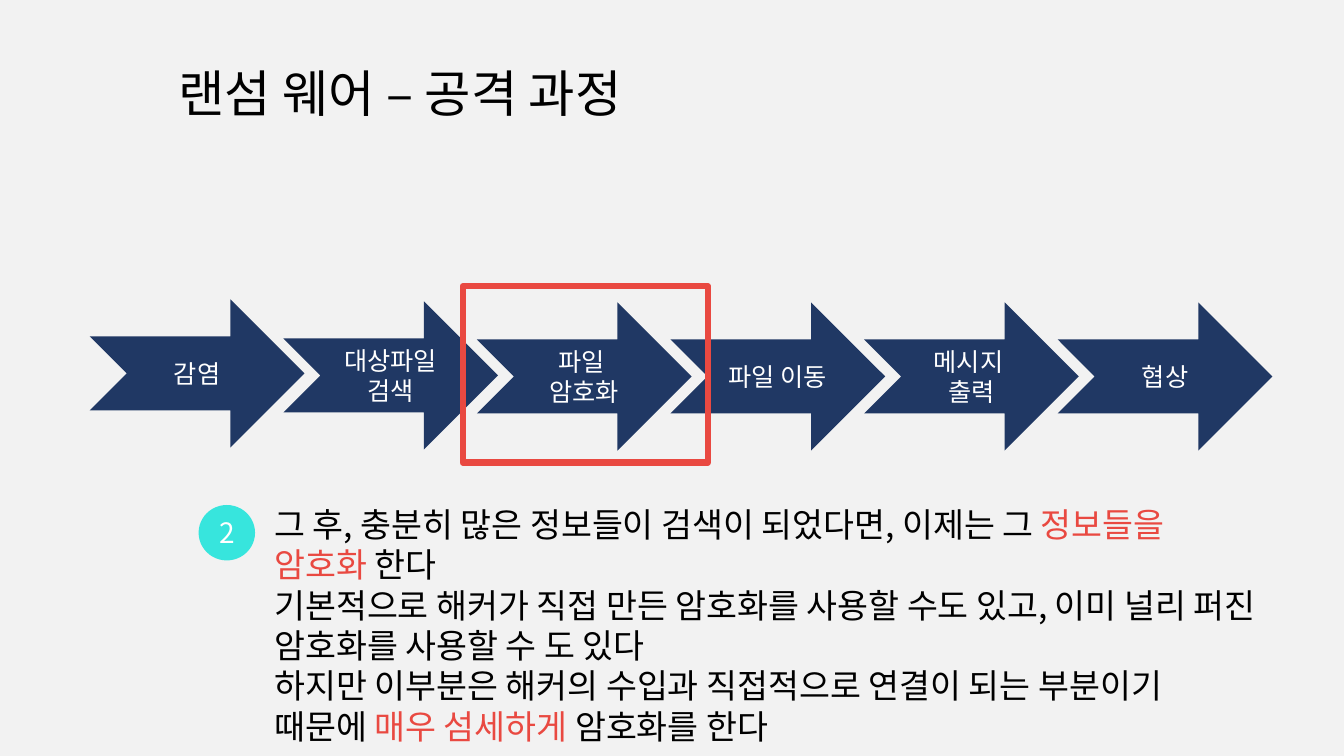
from lxml.etree import SubElement
from pptx import Presentation
from pptx.dml.color import RGBColor
from pptx.enum.shapes import MSO_SHAPE
from pptx.enum.text import MSO_ANCHOR, MSO_AUTO_SIZE, PP_ALIGN
from pptx.oxml.ns import qn
from pptx.util import Pt

PX = 9144
FONT = "Noto Sans CJK KR"
BLACK, WHITE, RED = "000000", "FFFFFF", "E94941"
NAVY, TURQUOISE, PALE = "203864", "37E5DD", "F2F2F2"

STAGES = ["감염", "대상파일 검색", "파일 \n암호화", "파일 이동", "메시지 \n출력", "협상"]
EXPLANATION = [
    [("그 후, 충분히 많은 정보들이 검색이 되었다면, 이제는 그 ", BLACK),
     ("정보들을 암호화", RED), (" 한다", BLACK)],
    [("기본적으로 해커가 직접 만든 암호화를 사용할 수도 있고, 이미 널리 퍼진 암호화를 사용할 수 도 있다", BLACK)],
    [("하지만 이부분은 해커의 수입과 직접적으로 연결이 되는 부분이기 때문에 ", BLACK),
     ("매우 섬세하게 ", RED), ("암호화를 한다", BLACK)],
]


def emu(*lengths):
    return [length * PX for length in lengths]


def colour(hex_code):
    return RGBColor.from_string(hex_code)


def style_run(run, size, hex_code):
    run.font.size = Pt(size)
    run.font.name = FONT
    run.font.color.rgb = colour(hex_code)
    SubElement(run.font._element, qn("a:ea"), typeface=FONT)


def place(placeholder, box):
    placeholder.left, placeholder.top, placeholder.width, placeholder.height = emu(*box)


def add_filled(slide, preset, box, fill, label, size):
    filled = slide.shapes.add_shape(preset, *emu(*box))
    filled.shadow.inherit = False
    filled.fill.solid()
    filled.fill.fore_color.rgb = colour(fill)
    filled.line.fill.background()
    frame = filled.text_frame
    frame.word_wrap = True
    frame.vertical_anchor = MSO_ANCHOR.MIDDLE
    frame.text = label
    for paragraph in frame.paragraphs:
        paragraph.alignment = PP_ALIGN.CENTER
        for run in paragraph.runs:
            style_run(run, size, WHITE)


def add_heading(slide, box):
    heading = slide.shapes.title
    place(heading, box)
    frame = heading.text_frame
    frame.text = "랜섬 웨어 – 공격 과정"
    frame.vertical_anchor = MSO_ANCHOR.MIDDLE
    frame.auto_size = MSO_AUTO_SIZE.NONE
    paragraph = frame.paragraphs[0]
    paragraph.alignment = PP_ALIGN.LEFT
    paragraph.line_spacing = 0.9
    style_run(paragraph.runs[0], 36, BLACK)


def add_attack_chain(slide, box):
    left, top, width, height = box
    arrow_width = 213
    step = (width - arrow_width) // (len(STAGES) - 1)
    for index, stage in enumerate(STAGES):
        arrow_top = top + min(2 * index, 3)
        add_filled(slide, MSO_SHAPE.NOTCHED_RIGHT_ARROW,
                   (left + index * step, arrow_top, arrow_width, height), NAVY, stage, 18)


def add_highlight(slide, box):
    highlight = slide.shapes.add_shape(MSO_SHAPE.RECTANGLE, *emu(*box))
    highlight.shadow.inherit = False
    highlight.fill.background()
    highlight.line.color.rgb = colour(RED)
    highlight.line.width = Pt(4.5)


def add_explanation(slide, box):
    left, top, width, height = box
    explanation = slide.placeholders[1]
    place(explanation, (left + 65, top, width - 65, height))
    frame = explanation.text_frame
    frame.word_wrap = True
    frame.auto_size = MSO_AUTO_SIZE.SHAPE_TO_FIT_TEXT
    frame.text = "\n".join("".join(words for words, _ in parts) for parts in EXPLANATION)
    for paragraph, parts in zip(frame.paragraphs, EXPLANATION):
        paragraph.text = ""
        paragraph.space_before = Pt(0)
        properties = paragraph._p.get_or_add_pPr()
        properties.set("marL", "0")
        properties.set("indent", "0")
        SubElement(properties, qn("a:buNone"))
        for words, hex_code in parts:
            run = paragraph.add_run()
            run.text = words
            style_run(run, 24, hex_code)
    add_filled(slide, MSO_SHAPE.OVAL, (left, top + 6, 56, 55), TURQUOISE, "2", 20)


def build_attack_slide(presentation):
    slide = presentation.slides.add_slide(presentation.slide_layouts[1])
    slide.background.fill.solid()
    slide.background.fill.fore_color.rgb = colour(PALE)
    add_heading(slide, (167, 63, 521, 64))
    add_attack_chain(slide, (89, 297, 1173, 147))
    add_highlight(slide, (459, 284, 243, 175))
    add_explanation(slide, (197, 495, 1064, 131))


def main():
    presentation = Presentation()
    presentation.slide_width, presentation.slide_height = emu(1333, 750)
    build_attack_slide(presentation)
    presentation.save("out.pptx")


if __name__ == "__main__":
    main()
